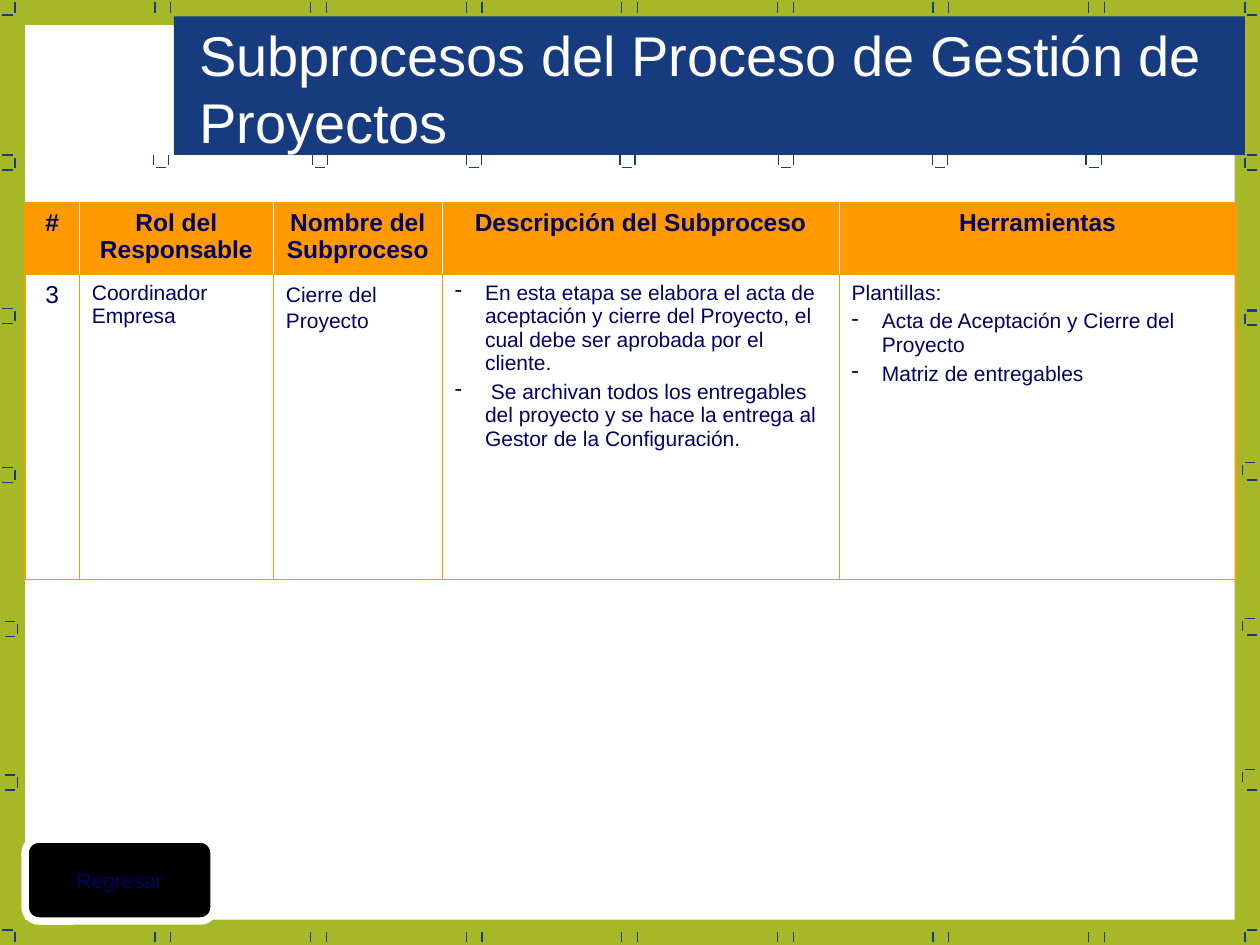
from lxml import etree
from pptx import Presentation
from pptx import util as u
from pptx.dml.color import RGBColor
from pptx.enum import shapes, text
from pptx.oxml import ns

GREEN, BLUE, NAVY = "A6B727", "163B7F", "000066"
ORANGE, WHITE, BLACK = "FF9900", "FFFFFF", "000000"

TITLE = "Subprocesos del Proceso de Gestión de Proyectos"
BUTTON = "Regresar"
COLUMNS = [0.43, 1.54, 1.34, 3.15, 3.15]
ROWS = [0.57, 2.42]
HEADERS = ["#", "Rol del Responsable", "Nombre del Subproceso",
           "Descripción del Subproceso", "Herramientas"]
BODY = [
    [("3", False)],
    [("Coordinador Empresa", False)],
    [("Cierre del Proyecto", False)],
    [("En esta etapa se elabora el acta de aceptación y cierre del Proyecto, "
      "el cual debe ser aprobada por el cliente.", True),
     (" Se archivan todos los entregables del proyecto y se hace la entrega "
      "al Gestor de la Configuración.", True)],
    [("Plantillas:", False),
     ("Acta de Aceptación y Cierre del Proyecto", True),
     ("Matriz de entregables", True)],
]

TICK_PAIRS = [1.23 + 1.235 * step for step in range(7)]
BANNER_BRACKETS = [1.22, 2.48, 3.7, 4.92, 6.18, 7.4, 8.62]
LEFT_BRACKETS = [(0.12, 0, [0.12]), (0.12, 1.23, [0, 0.12]), (0.12, 2.45, [0, 0.12]),
                 (0.12, 3.71, [0, 0.12]), (0.14, 4.93, [0, 0.12]),
                 (0.14, 6.15, [0, 0.12]), (0.12, 7.38, [0])]
RIGHT_BRACKETS = [(9.88, 0, [0.12]), (9.88, 1.23, [0, 0.12]), (9.88, 2.47, [0]),
                  (9.86, 3.67, [0]), (9.86, 4.91, [0]), (9.86, 6.11, [0]),
                  (9.88, 7.38, [0])]
RIGHT_DASHES = [2.46, 2.58, 3.81, 5.04, 6.27]


def color(value):
    return RGBColor.from_string(value)


def add_box(slide, kind, place, fill, line=None, width=0):
    box = slide.shapes.add_shape(kind, *map(u.Inches, place))
    box.shadow.inherit = False
    box.fill.solid()
    box.fill.fore_color.rgb = color(fill)
    if line:
        box.line.color.rgb = color(line)
        box.line.width = u.Pt(width)
    else:
        box.line.fill.background()
    return box


def add_line(slide, *ends):
    line = slide.shapes.add_connector(shapes.MSO_CONNECTOR.STRAIGHT, *map(u.Inches, ends))
    line.line.color.rgb = color(BLUE)
    line.line.width = u.Pt(0.75)
    etree.SubElement(line._element.spPr, ns.qn("a:effectLst"))


def add_side_brackets(slide, brackets, direction):
    for edge, top, dashes in brackets:
        add_line(slide, edge, top + 0.1, edge, top + 0.02)
        for dash in dashes:
            add_line(slide, edge + direction * 0.02, top + dash,
                     edge + direction * 0.1, top + dash)


def draw_frame(slide):
    add_box(slide, shapes.MSO_SHAPE.RECTANGLE, (0.2, 0.2, 9.6, 7.1), WHITE)
    for left in TICK_PAIRS:
        for x in (left, left + 0.125):
            for top in (0.02, 7.4):
                add_line(slide, x, top + 0.08, x, top)
    add_box(slide, shapes.MSO_SHAPE.RECTANGLE, (1.38, 0.13, 8.5, 1.1), BLUE)
    add_side_brackets(slide, LEFT_BRACKETS, -1)
    add_side_brackets(slide, RIGHT_BRACKETS, 1)
    for y in RIGHT_DASHES:
        add_line(slide, 9.9, y, 9.98, y)
    for left in BANNER_BRACKETS:
        for x in (left, left + 0.12):
            add_line(slide, x, 1.31, x, 1.23)
        add_line(slide, left + 0.02, 1.33, left + 0.1, 1.33)


def set_font(para, size, value, bold=False):
    for span in para.runs:
        span.font.name = "Arial"
        span.font.size = u.Pt(size)
        span.font.bold = bold
        span.font.color.rgb = color(value)


def add_dash_bullet(para):
    props = para._p.get_or_add_pPr()
    props.set("marL", str(u.Inches(0.24)))
    props.set("indent", str(-u.Inches(0.24)))
    etree.SubElement(props, ns.qn("a:buChar")).set("char", "-")


def set_borders(cell, row, column):
    last = len(COLUMNS) - 1
    inner = (WHITE, 0.45) if row == 0 else (ORANGE, 0.75)
    outer, middle = (ORANGE, 1.08), (ORANGE, 0.75)
    sides = [("L", outer if column == 0 else inner),
             ("R", outer if column == last else inner),
             ("T", outer if row == 0 else middle),
             ("B", middle if row == 0 else outer)]
    props = cell._tc.get_or_add_tcPr()
    for position, (side, (value, width)) in enumerate(sides):
        border = etree.Element(ns.qn("a:ln" + side), w=str(u.Pt(width)))
        fill = etree.SubElement(border, ns.qn("a:solidFill"))
        etree.SubElement(fill, ns.qn("a:srgbClr")).set("val", value)
        props.insert(position, border)


def fill_cell(cell, row, column, entries):
    header = row == 0
    if header:
        cell.fill.solid()
        cell.fill.fore_color.rgb = color(ORANGE)
    else:
        cell.fill.background()
    cell.text_frame.text = "\n".join(words for words, _ in entries)
    for index, (para, (_, bullet)) in enumerate(zip(cell.text_frame.paragraphs, entries)):
        if bullet:
            add_dash_bullet(para)
        if index:
            para.space_before = u.Pt(3)
        if not header and column == 2:
            para.line_spacing = 1.1
        centred = header or column == 0
        para.alignment = text.PP_ALIGN.CENTER if centred else text.PP_ALIGN.LEFT
        set_font(para, 14 if centred else 12, NAVY, header)
    set_borders(cell, row, column)


def draw_table(slide):
    frame = slide.shapes.add_table(len(ROWS), len(COLUMNS), u.Inches(0.2), u.Inches(1.61),
                                   u.Inches(sum(COLUMNS)), u.Inches(sum(ROWS)))
    table = frame.table
    table.first_row = table.horz_banding = False
    for column, width in enumerate(COLUMNS):
        table.columns[column].width = u.Inches(width)
    contents = [[[(words, False)] for words in HEADERS], BODY]
    for row, height in enumerate(ROWS):
        table.rows[row].height = u.Inches(height)
        for column, entries in enumerate(contents[row]):
            fill_cell(table.cell(row, column), row, column, entries)


def draw_button(slide):
    button = add_box(slide, shapes.MSO_SHAPE.FLOWCHART_ALTERNATE_PROCESS,
                     (0.2, 6.66, 1.5, 0.65), BLACK, WHITE, 4.25)
    button.text_frame.text = BUTTON
    button.text_frame.vertical_anchor = text.MSO_ANCHOR.MIDDLE
    para = button.text_frame.paragraphs[0]
    para.alignment = text.PP_ALIGN.CENTER
    set_font(para, 12, NAVY)


def place_title(slide):
    title = slide.shapes.title
    title.left, title.top, title.width, title.height = map(u.Inches, (1.48, 0.11, 8.32, 1.17))
    frame = title.text_frame
    frame.text = TITLE
    frame.word_wrap = True
    frame.auto_size = text.MSO_AUTO_SIZE.NONE
    frame.vertical_anchor = text.MSO_ANCHOR.TOP
    frame.paragraphs[0].alignment = text.PP_ALIGN.LEFT
    set_font(frame.paragraphs[0], 32, WHITE)
    slide.shapes._spTree.append(title._element)


def main():
    deck = Presentation()
    deck.slide_width, deck.slide_height = u.Inches(10), u.Inches(7.5)
    slide = deck.slides.add_slide(deck.slide_layouts[5])
    slide.background.fill.solid()
    slide.background.fill.fore_color.rgb = color(GREEN)
    draw_frame(slide)
    draw_table(slide)
    draw_button(slide)
    place_title(slide)
    deck.save("out.pptx")


if __name__ == "__main__":
    main()
